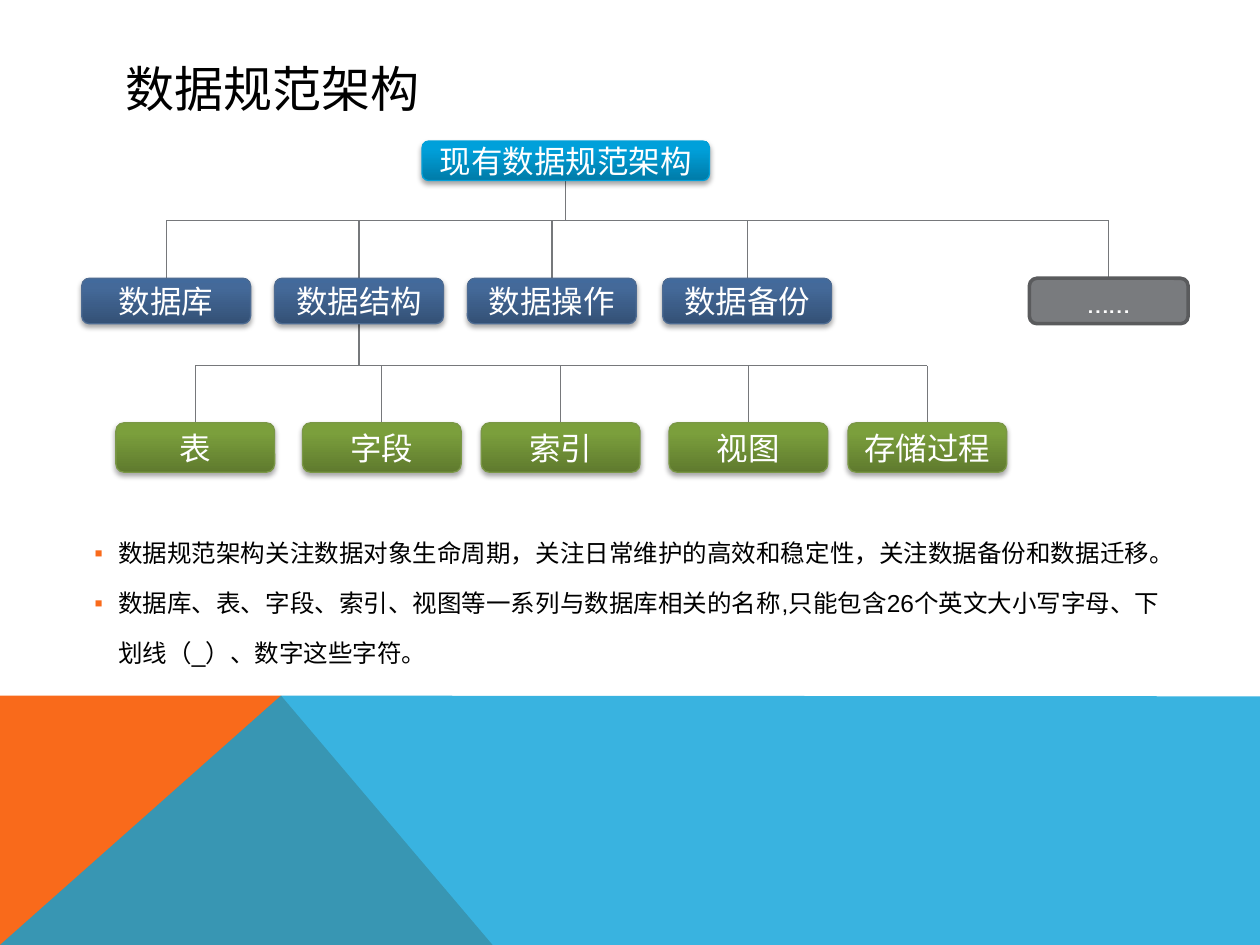
from copy import deepcopy
from dataclasses import dataclass

from lxml import etree
from pptx import Presentation
from pptx import util as u
from pptx.dml.color import RGBColor
from pptx.enum import shapes, text
from pptx.oxml.ns import qn

BLACK, WHITE, ORANGE, BLUE, GREY = "000000", "FFFFFF", "F96A1B", "08A1D9", "76787B"


@dataclass(frozen=True)
class Style:
    stops: tuple[str, ...]
    line: str
    line_width: float = 0.75


@dataclass(frozen=True)
class Node:
    label: str
    center: float
    top: float
    width: float
    height: float
    style: Style


ROOT = Style(("007BA8", "00A0DA", "00A0DB"), "03A0D9")
AREA = Style(("345176", "446999", "426A9C"), "4D6B92")
OBJECT = Style(("5F7A2E", "7B9F3C", "7CA13B"), "7A9746")
MORE = Style(("797B7E",), "5A5B5D", 2)


def rgb(value: str) -> RGBColor:
    return RGBColor.from_string(value)


def sub(parent, tag: str, **attrs):
    return etree.SubElement(parent, qn(tag), {k: str(v) for k, v in attrs.items()})


def add_text(tf, content: str, *, size: float, font: str, color: str = BLACK,
             align=None, spacing=None, bullet: str = "", first: bool = True) -> None:
    p = tf.paragraphs[0] if first else tf.add_paragraph()
    if bullet:
        p.level = 1
        ppr = p._p.get_or_add_pPr()
        ppr.set("marL", str(u.Pt(13.7)))
        ppr.set("indent", str(-u.Pt(13.7)))
        sub(sub(ppr, "a:buClr"), "a:srgbClr", val=ORANGE)
        sub(ppr, "a:buFont", typeface="Arial")
        sub(ppr, "a:buChar", char=bullet)
    p.alignment = align
    p.line_spacing = spacing
    r = p.add_run()
    r.text = content
    r.font.size, r.font.name = u.Pt(size), font
    r.font.color.rgb = rgb(color)


def add_box(s, left: float, top: float, width: float, height: float):
    tf = s.shapes.add_textbox(*map(u.Pt, (left, top, width, height))).text_frame
    tf.word_wrap = True
    return tf


def add_polygon(s, points: list[tuple[float, float]], color: str, alpha: int = 100) -> None:
    (x, y), *rest = [(u.Pt(a), u.Pt(b)) for a, b in points]
    builder = s.shapes.build_freeform(x, y)
    builder.add_line_segments(rest, close=True)
    sp = builder.convert_to_shape()
    sp.shadow.inherit = False
    sp.line.fill.background()
    sp.fill.solid()
    sp.fill.fore_color.rgb = rgb(color)
    if alpha < 100:
        sub(sp._element.spPr.find(".//" + qn("a:srgbClr")), "a:alpha", val=alpha * 1000)


def add_gradient(sp, colors: tuple[str, ...]) -> None:
    sp.fill.gradient()
    sp.fill.gradient_angle = 90
    stop_list = sp._element.spPr.find(".//" + qn("a:gsLst"))
    stop_list.append(deepcopy(stop_list[-1]))
    for stop, color, position in zip(sp.fill.gradient_stops, colors, (0, 0.8, 1)):
        stop.color.rgb = rgb(color)
        stop.position = position


def add_shadow(sp) -> None:
    effects = sp._element.spPr.find(qn("a:effectLst"))
    shadow = sub(effects, "a:outerShdw", blurRad=u.Pt(3.1), dist=u.Pt(1.8),
                 dir=5400000, rotWithShape=0)
    sub(sub(shadow, "a:srgbClr", val=BLACK), "a:alpha", val=35000)


def add_node(s, node: Node) -> None:
    sp = s.shapes.add_shape(
        shapes.MSO_SHAPE.ROUNDED_RECTANGLE,
        *map(u.Pt, (node.center - node.width / 2, node.top, node.width, node.height)))
    style = node.style
    sp.line.color.rgb = rgb(style.line)
    sp.line.width = u.Pt(style.line_width)
    sp.shadow.inherit = False
    if len(style.stops) > 1:
        add_gradient(sp, style.stops)
        add_shadow(sp)
    else:
        sp.fill.solid()
        sp.fill.fore_color.rgb = rgb(style.stops[0])
    tf = sp.text_frame
    tf.word_wrap = True
    tf.vertical_anchor = text.MSO_ANCHOR.MIDDLE
    add_text(tf, node.label, size=18, font="Cabin", color=WHITE, align=text.PP_ALIGN.CENTER)


def add_line(s, x1: float, y1: float, x2: float, y2: float) -> None:
    line = s.shapes.add_connector(shapes.MSO_CONNECTOR.STRAIGHT, *map(u.Pt, (x1, y1, x2, y2)))
    line.line.color.rgb = rgb(GREY)
    line.line.width = u.Pt(0.75)
    sub(line._element.spPr, "a:effectLst")


def add_branch(s, parent: Node, children: list[Node], bar: float) -> None:
    add_line(s, parent.center, parent.top + parent.height, parent.center, bar)
    add_line(s, children[0].center, bar, children[-1].center, bar)
    for child in children:
        add_line(s, child.center, bar, child.center, child.top)


def main() -> None:
    prs = Presentation()
    prs.slide_width, prs.slide_height = u.Pt(720), u.Pt(540)
    s = prs.slides.add_slide(prs.slide_layouts[6])

    peak = (160.6, 397.5)
    add_polygon(s, [(0, 540), (0, 397.5), peak, (281.5, 540)], ORANGE)
    add_polygon(s, [(0, 540), peak, (720, 397.9), (720, 540)], BLUE, alpha=80)

    title = add_box(s, 64.8, 28.8, 591.8, 43.2)
    title.vertical_anchor = text.MSO_ANCHOR.MIDDLE
    add_text(title, "数据规范架构", size=28, font="Cabin")

    body = add_box(s, 46.8, 292.3, 632.2, 93.6)
    body.auto_size = text.MSO_AUTO_SIZE.SHAPE_TO_FIT_TEXT
    for i, line in enumerate((
            "数据规范架构关注数据对象生命周期，关注日常维护的高效和稳定性，关注数据备份和数据迁移。",
            "数据库、表、字段、索引、视图等一系列与数据库相关的名称,只能包含26个英文大小写字母、下划线（_）、数字这些字符。")):
        add_text(body, line, size=14, font="Arial", spacing=1.7, bullet="▪", first=i == 0)

    root = Node("现有数据规范架构", 323.3, 80.6, 164.2, 22.6, ROOT)
    areas = [Node(label, x, 159, 96.5, 26, AREA) for label, x in (
        ("数据库", 95), ("数据结构", 205.2), ("数据操作", 315.4), ("数据备份", 427))]
    areas.append(Node("……", 633.6, 159, 90.7, 26, MORE))
    objects = [Node(label, x, 241.6, 90.7, 28.3, OBJECT) for label, x in (
        ("表", 111.6), ("字段", 218.2), ("索引", 320.4), ("视图", 427.7), ("存储过程", 529.9))]

    add_branch(s, root, areas, 126)
    add_branch(s, areas[1], objects, 209)
    for node in (root, *areas, *objects):
        add_node(s, node)

    prs.save("out.pptx")


if __name__ == "__main__":
    main()
